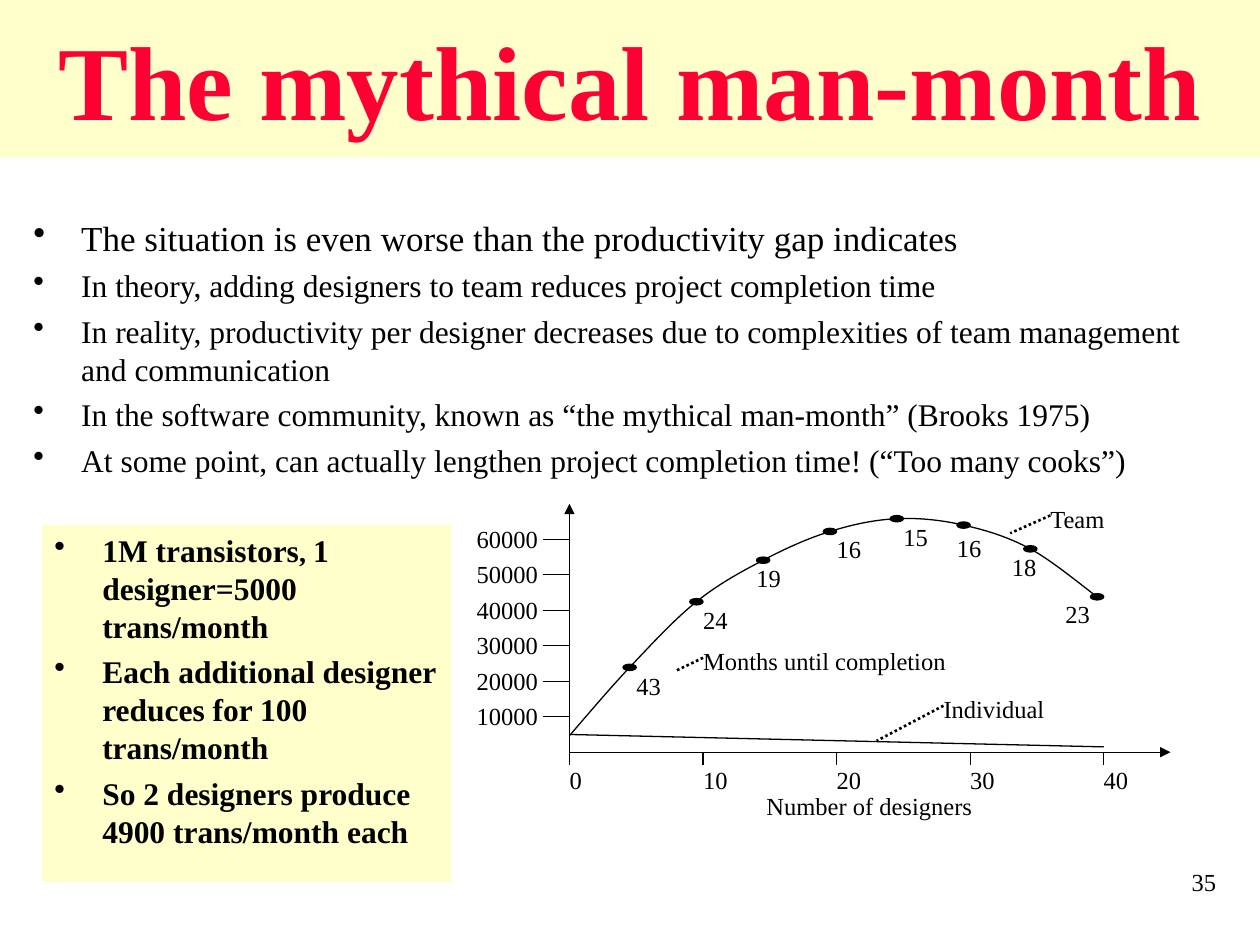
"""Build the slide on the mythical man-month with its team productivity diagram."""
from lxml import etree
from pptx import Presentation
from pptx.dml.color import RGBColor
from pptx.enum.dml import MSO_LINE
from pptx.enum.shapes import MSO_CONNECTOR, MSO_SHAPE
from pptx.enum.text import MSO_ANCHOR, PP_ALIGN
from pptx.oxml.ns import qn
from pptx.util import Inches, Pt

LEFT, CENTER, RIGHT = PP_ALIGN.LEFT, PP_ALIGN.CENTER, PP_ALIGN.RIGHT
TOP, MIDDLE = MSO_ANCHOR.TOP, MSO_ANCHOR.MIDDLE
STRAIGHT, OVAL, DOTTED = MSO_CONNECTOR.STRAIGHT, MSO_SHAPE.OVAL, MSO_LINE.ROUND_DOT
COLORS = {name: RGBColor.from_string(value) for name, value in
          {"ink": "000000", "title": "FF0033", "panel": "FFFFCC"}.items()}
FONT = "Times New Roman"

deck = Presentation()
deck.slide_width, deck.slide_height = Inches(10), Inches(7.5)
page = deck.slides.add_slide(deck.slide_layouts[6])
UNIT = deck.slide_width / 60
ORIGIN_X, ORIGIN_Y = 27.12, 35.82
DESIGNER, THOUSAND = 0.636, 0.169
TICK, LABEL_HEIGHT, LABEL_WIDTH = 0.6, 1.14, 2.52


def add_text(place, paragraphs, align=LEFT, color="ink", fill=None, bold=False,
             bullets=False, margins=(0, 0), anchor=TOP):
    box = page.shapes.add_textbox(*[round(UNIT * length) for length in place])
    if fill:
        box.fill.solid()
        box.fill.fore_color.rgb = COLORS[fill]
    frame = box.text_frame
    frame.word_wrap = True
    frame.vertical_anchor = anchor
    frame.margin_left = frame.margin_right = Inches(margins[0])
    frame.margin_top = frame.margin_bottom = Inches(margins[1])
    for index, (size, *parts) in enumerate(paragraphs):
        para = frame.paragraphs[0] if index == 0 else frame.add_paragraph()
        para.alignment = align
        if index:
            para.space_before = Pt(size / 4)
        if bullets:
            properties = para._p.get_or_add_pPr()
            properties.set("marL", str(Inches(0.38)))
            properties.set("indent", str(-Inches(0.38)))
            etree.SubElement(properties, qn("a:buChar"), char="•")
        para.font.name, para.font.size, para.font.bold = FONT, Pt(size), bold
        para.font.color.rgb = COLORS[color]
        for part in parts:
            para.add_run().text = part
    return box


def add_line(start_x, start_y, end_x, end_y, width=0.75, dash=None, arrow=False):
    ends = [round(UNIT * length) for length in (start_x, start_y, end_x, end_y)]
    connector = page.shapes.add_connector(STRAIGHT, *ends)
    connector.line.width = Pt(width)
    connector.line.color.rgb = COLORS["ink"]
    if dash:
        connector.line.dash_style = dash
    if arrow:
        etree.SubElement(connector.line._get_or_add_ln(), qn("a:tailEnd"), type="triangle")
    etree.SubElement(connector._element.spPr, qn("a:effectLst"))


add_text((52.5, 41, 6, 3), [(14, "35")], align=RIGHT, margins=(0.1, 0.05))
add_text((0, 0, 60, 7.5), [(60, "The mythical man-month")], align=CENTER, color="title",
         fill="panel", bold=True, margins=(0, 0.05), anchor=MIDDLE)
add_text((1, 10, 57.5, 13.5), [
    (20, "The situation is even worse than the productivity gap indicates"),
    (18, "In theory, adding designers to team reduces project completion time"),
    (18, "In reality, productivity per designer decreases due to complexities of "
         "team management and communication"),
    (18, "In the software community, known as “the mythical man-month” (Brooks 1975)"),
    (18, "At some point, can actually lengthen project completion time! (“Too many cooks”)"),
], bullets=True, margins=(0.1, 0.05))
example = add_text((2, 25, 19.5, 17), [
    (18, "1M transistors", ", ", "1 designer=5000 trans/month"),
    (18, "Each additional designer reduces for 100 trans/month"),
    (18, "So 2 designers produce 4900 trans/month each"),
], fill="panel", bold=True, bullets=True, margins=(0.1, 0.05))
example.text_frame.paragraphs[0].runs[1].font.size = Pt(16)

add_line(ORIGIN_X, ORIGIN_Y, ORIGIN_X + 45 * DESIGNER, ORIGIN_Y, arrow=True)
add_line(ORIGIN_X, ORIGIN_Y, ORIGIN_X, ORIGIN_Y - 70 * THOUSAND, arrow=True)
for designers in range(0, 41, 10):
    x = ORIGIN_X + designers * DESIGNER
    add_line(x, ORIGIN_Y, x, ORIGIN_Y + TICK)
    add_text((x, ORIGIN_Y + TICK, LABEL_WIDTH, LABEL_HEIGHT), [(14, str(designers))])
for thousands in range(10, 61, 10):
    y = ORIGIN_Y - thousands * THOUSAND
    add_line(ORIGIN_X, y, ORIGIN_X - 2 * DESIGNER, y)
    add_text((20.52, y - 0.74, 5.1, LABEL_HEIGHT), [(14, f"{thousands}000")], align=RIGHT)
add_text((27.72, 37.68, 27.36, LABEL_HEIGHT), [(14, "Number of designers")], align=CENTER)
add_line(ORIGIN_X, ORIGIN_Y - 5 * THOUSAND,
         ORIGIN_X + 40 * DESIGNER, ORIGIN_Y - 1.5 * THOUSAND)

team_output = [
    (5, 23.9, "43", 5, 0.15, LEFT), (10, 42.4, "24", 10, 0.15, LEFT),
    (15, 54.1, "19", 14, 0.15, LEFT), (20, 62.2, "16", 20, 0.12, LEFT),
    (25, 65.8, "15", 25, 0.15, LEFT), (30, 64, "16", 29, 0.4, LEFT),
    (35, 57.3, "18", 31, 0.15, RIGHT), (40, 43.8, "23", 35, 0.1, RIGHT),
]
curve_points = [(ORIGIN_X, ORIGIN_Y - 4.7 * THOUSAND)]
for designers, thousands, months, label_start, drop, align in team_output:
    x = ORIGIN_X + (designers - 0.5) * DESIGNER
    y = ORIGIN_Y - thousands * THOUSAND
    curve_points.append((x, y))
    place = (x - DESIGNER / 2, y - 0.15, DESIGNER, 0.3)
    dot = page.shapes.add_shape(OVAL, *[round(UNIT * length) for length in place])
    dot.shadow.inherit = False
    dot.fill.solid()
    dot.fill.fore_color.rgb = dot.line.color.rgb = COLORS["ink"]
    dot.line.width = Pt(0.75)
    add_text((ORIGIN_X + label_start * DESIGNER, y + drop, LABEL_WIDTH, LABEL_HEIGHT),
             [(14, months)], align=align)

padded = [curve_points[0], *curve_points, curve_points[-1]]
handles = []
for before, start, end, after in zip(padded, padded[1:], padded[2:], padded[3:]):
    handles.append([s + (e - b) / 6 for b, s, e in zip(before, start, end)])
    handles.append([e - (a - s) / 6 for s, e, a in zip(start, end, after)])
    handles.append(end)
builder = page.shapes.build_freeform(*[round(UNIT * length) for length in curve_points[0]])
builder.add_line_segments([[round(UNIT * length) for length in point] for point in handles],
                          close=False)
curve = builder.convert_to_shape()
curve.shadow.inherit = False
curve.fill.background()
curve.line.color.rgb = COLORS["ink"]
curve.line.width = Pt(0.75)
outline = next(curve._element.iter(qn("a:path")))
segments = outline.findall(qn("a:lnTo"))
for first in range(0, len(segments), 3):
    bezier = etree.SubElement(outline, qn("a:cubicBezTo"))
    for segment in segments[first:first + 3]:
        bezier.append(segment[0])
        outline.remove(segment)

for text, width, start, start_k, end, end_k in [
    ("Team", 7, 36, 66.7, 33, 61.7),
    ("Individual", 7.6, 28, 13.1, 23, 3.2),
    ("Months until completion", 17.8, 10, 26.6, 8, 23),
]:
    x, y = ORIGIN_X + start * DESIGNER, ORIGIN_Y - start_k * THOUSAND
    add_text((x, y - 0.57, width, LABEL_HEIGHT), [(14, text)])
    add_line(x, y, ORIGIN_X + end * DESIGNER, ORIGIN_Y - end_k * THOUSAND,
             width=1.5, dash=DOTTED)

deck.save("out.pptx")
